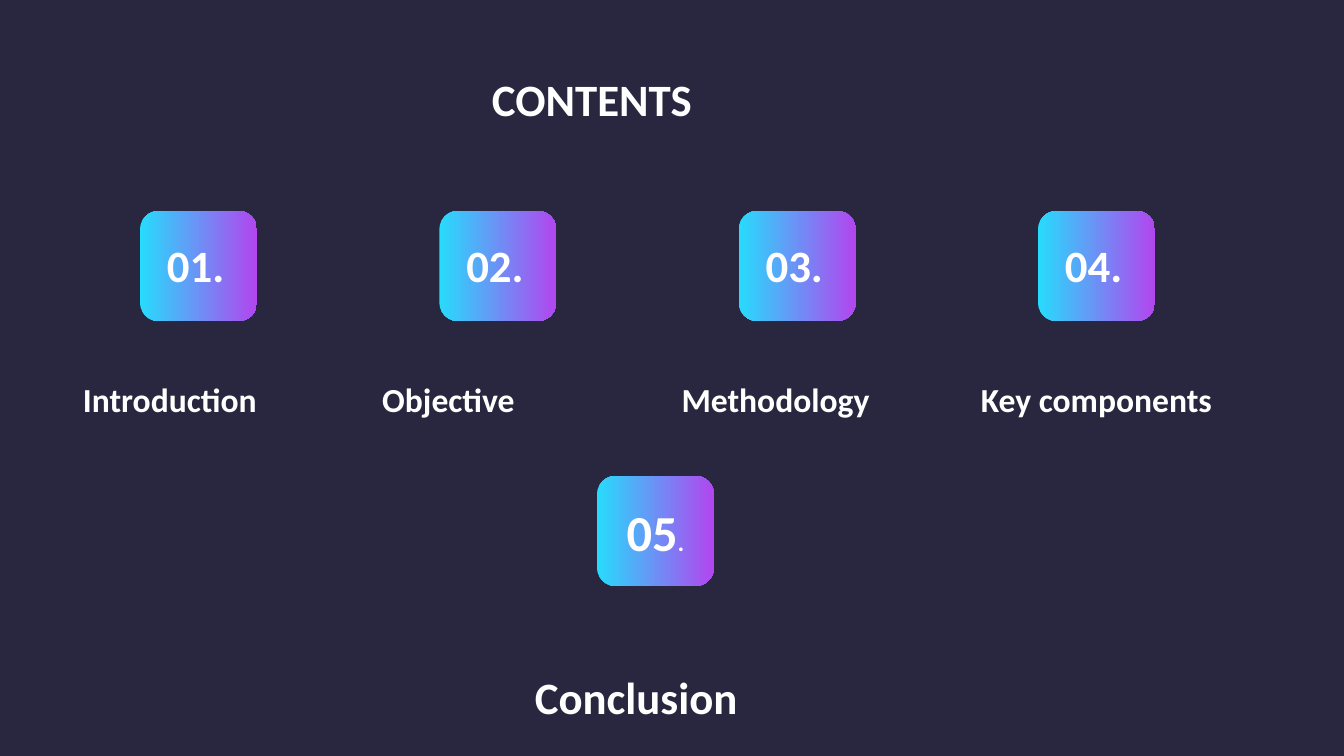
from dataclasses import dataclass

from pptx import Presentation
from pptx.dml.color import RGBColor
from pptx.enum.shapes import MSO_SHAPE
from pptx.enum.text import MSO_ANCHOR, MSO_AUTO_SIZE, PP_ALIGN
from pptx.util import Emu, Pt

RECTANGLE = MSO_SHAPE.RECTANGLE
ROUNDED = MSO_SHAPE.ROUNDED_RECTANGLE
MIDDLE = MSO_ANCHOR.MIDDLE
GROW = MSO_AUTO_SIZE.SHAPE_TO_FIT_TEXT
LEFT, CENTER, JUSTIFY = PP_ALIGN.LEFT, PP_ALIGN.CENTER, PP_ALIGN.JUSTIFY

TITLE = "CONTENTS"
TOPICS = [
    ("01.", "Introduction"),
    ("02.", "Objective"),
    ("03.", "Methodology"),
    ("04.", "Key components"),
]
LAST_NUMBER, LAST_MARK, LAST_TOPIC = "05", ".", "Conclusion"

PAGE_WIDTH, PAGE_HEIGHT = 1344, 756
TITLE_BOX = (482, 67, 379, 65)
FIRST_TILE_LEFT, LAST_TILE_LEFT = 140, 1038
TILE_TOP, TILE_WIDTH, TILE_HEIGHT = 211, 117, 110
NUMBER_OFFSET, NUMBER_TOP, NUMBER_WIDTH, NUMBER_HEIGHT = 17, 233, 89, 65
LABEL_OFFSET, LABEL_TOP, LABEL_WIDTH, LABEL_HEIGHT = -67, 374, 260, 50
FINAL_TILE = (597, 476)
FINAL_LABEL_BOX = (525, 665, 260, 65)


@dataclass(frozen=True)
class Theme:
    font: str = "Calibri"
    background: str = "28273F"
    text: str = "FFFFFF"
    gradient: tuple = ("27DBFC", "B246EF")
    heading: int = 32
    label: int = 24
    final_number: int = 36
    final_mark: int = 18


THEME = Theme()


def px(value):
    return Emu(round(value * 914400 / 100.8))


def add_plain_shape(page, kind, *bounds):
    shape = page.shapes.add_shape(kind, *map(px, bounds))
    shape.shadow.inherit = False
    shape.line.fill.background()
    return shape


def add_tile(page, left, top):
    tile = add_plain_shape(page, ROUNDED, left, top, TILE_WIDTH, TILE_HEIGHT)
    tile.fill.gradient()
    tile.fill.gradient_angle = 0
    for stop, color in zip(tile.fill.gradient_stops, THEME.gradient):
        stop.color.rgb = RGBColor.from_string(color)
    return tile


def add_span(para, text, *, size):
    span = para.add_run()
    span.text = text
    span.font.name = THEME.font
    span.font.size = Pt(size)
    span.font.bold = True
    span.font.color.rgb = RGBColor.from_string(THEME.text)


def add_text(page, text, bounds, *, size=THEME.heading, align=JUSTIFY, wrap=True):
    box = page.shapes.add_textbox(*map(px, bounds))
    frame = box.text_frame
    frame.word_wrap = wrap
    frame.auto_size = GROW
    para = frame.paragraphs[0]
    para.alignment = align
    add_span(para, text, size=size)


def add_topics(page):
    pitch = (LAST_TILE_LEFT - FIRST_TILE_LEFT) / (len(TOPICS) - 1)
    for index, (number, label) in enumerate(TOPICS):
        left = FIRST_TILE_LEFT + index * pitch
        add_tile(page, left, TILE_TOP)
        add_text(page, label,
                 (left + LABEL_OFFSET, LABEL_TOP, LABEL_WIDTH, LABEL_HEIGHT),
                 size=THEME.label)
        add_text(page, number,
                 (left + NUMBER_OFFSET, NUMBER_TOP, NUMBER_WIDTH, NUMBER_HEIGHT),
                 align=LEFT, wrap=False)


def add_final_topic(page):
    frame = add_tile(page, *FINAL_TILE).text_frame
    frame.vertical_anchor = MIDDLE
    para = frame.paragraphs[0]
    para.alignment = CENTER
    add_span(para, LAST_NUMBER, size=THEME.final_number)
    add_span(para, LAST_MARK, size=THEME.final_mark)
    add_text(page, LAST_TOPIC, FINAL_LABEL_BOX)


def main():
    deck = Presentation()
    deck.slide_width, deck.slide_height = px(PAGE_WIDTH), px(PAGE_HEIGHT)
    page = deck.slides.add_slide(deck.slide_layouts[6])
    backdrop = add_plain_shape(page, RECTANGLE, 0, 0, PAGE_WIDTH, PAGE_HEIGHT)
    backdrop.fill.solid()
    backdrop.fill.fore_color.rgb = RGBColor.from_string(THEME.background)
    add_text(page, TITLE, TITLE_BOX)
    add_topics(page)
    add_final_topic(page)
    deck.save("out.pptx")


if __name__ == "__main__":
    main()
